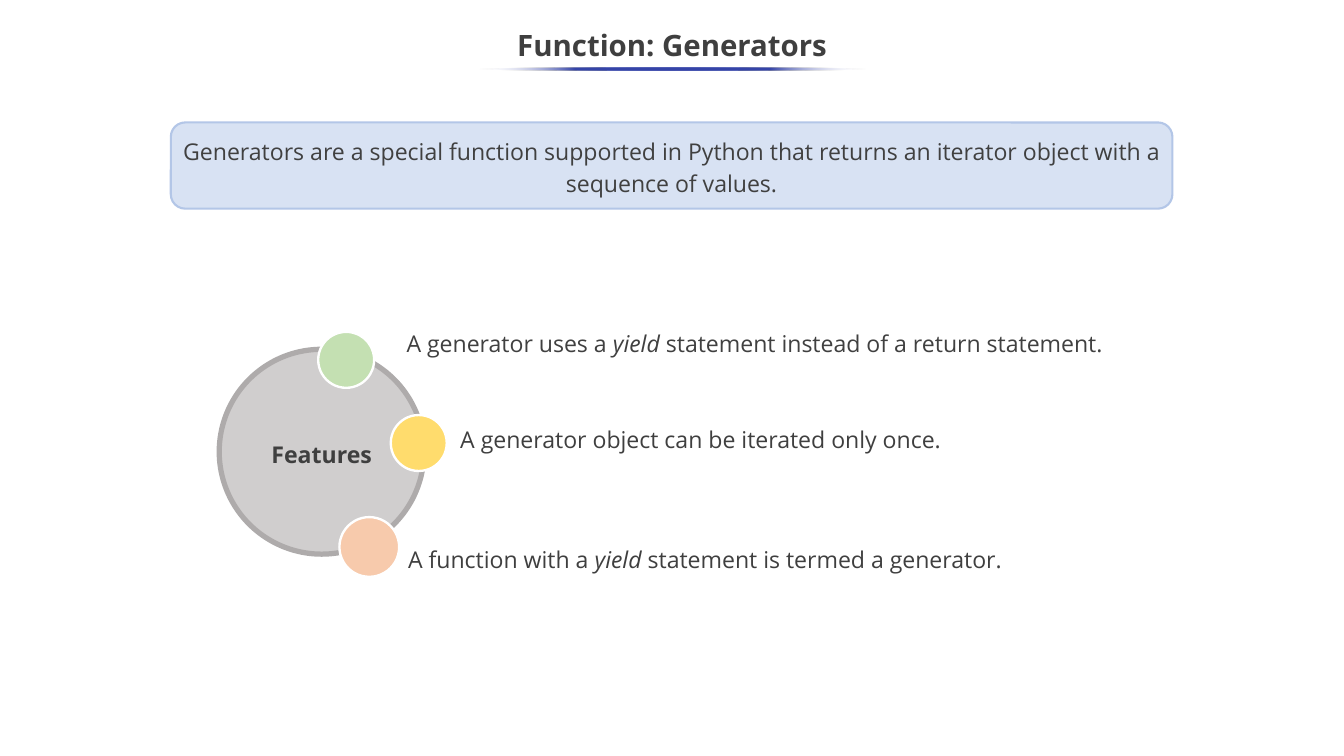
from lxml.etree import SubElement
from pptx import Presentation
from pptx.dml.color import RGBColor
from pptx.enum.shapes import MSO_SHAPE
from pptx.enum.text import MSO_ANCHOR, MSO_AUTO_SIZE, PP_ALIGN
from pptx.oxml.ns import qn
from pptx.util import Inches, Pt


def rgb(value):
    """Turn a hex string into a colour."""
    return RGBColor.from_string(value)


class SlideBuilder:
    """Holds the text style and the current slide, and draws its elements."""

    font = "Open Sans"
    ink = "3F3F3F"
    body_size = 22
    body_spacing = 1.15

    def __init__(self, slide):
        self.slide = slide

    def add_text(self, frame, pieces, size=body_size, bold=False, color=ink,
                 align=PP_ALIGN.CENTER, spacing=body_spacing):
        """Fill a frame with one paragraph of (text, italic) pieces."""
        frame.word_wrap = True
        frame.vertical_anchor = MSO_ANCHOR.MIDDLE
        paragraph = frame.paragraphs[0]
        paragraph.alignment = align
        paragraph.line_spacing = spacing
        for text, italic in pieces:
            run = paragraph.add_run()
            run.text = text
            run.font.name = self.font
            run.font.size = Pt(size)
            run.font.bold = bold
            run.font.italic = italic
            run.font.color.rgb = rgb(color)

    def title(self, text, left, top, width, height):
        """Add the slide title."""
        box = self.slide.shapes.add_textbox(
            Inches(left), Inches(top), Inches(width), Inches(height))
        self.add_text(box.text_frame, [(text, False)], size=28, bold=True, spacing=0.9)

    def shape(self, kind, left, top, width, height, fill, line, line_width):
        """Add a filled and outlined preset shape."""
        shape = self.slide.shapes.add_shape(
            kind, Inches(left), Inches(top), Inches(width), Inches(height))
        shape.shadow.inherit = False
        shape.fill.solid()
        shape.fill.fore_color.rgb = rgb(fill)
        shape.line.color.rgb = rgb(line)
        shape.line.width = Pt(line_width)
        return shape

    def dot(self, left, top, diameter, fill):
        """Add a white-rimmed feature marker."""
        self.shape(MSO_SHAPE.OVAL, left, top, diameter, diameter, fill, "FFFFFF", 2.25)

    def feature(self, pieces, left, top, width, height, color):
        """Add a left-aligned feature sentence."""
        box = self.slide.shapes.add_textbox(
            Inches(left), Inches(top), Inches(width), Inches(height))
        self.add_text(box.text_frame, pieces, color=color, align=PP_ALIGN.LEFT)
        box.text_frame.vertical_anchor = MSO_ANCHOR.TOP
        box.text_frame.auto_size = MSO_AUTO_SIZE.SHAPE_TO_FIT_TEXT

    def underline(self, left, top, width, height, color):
        """Add a thin ellipse that fades out at both ends."""
        rule = self.slide.shapes.add_shape(
            MSO_SHAPE.OVAL, Inches(left), Inches(top), Inches(width), Inches(height))
        rule.shadow.inherit = False
        rule.line.fill.background()
        rule.fill.gradient()
        rule.fill.gradient_angle = 180
        stops = rule.element.spPr.find(qn("a:gradFill")).find(qn("a:gsLst"))
        for stop in list(stops):
            stops.remove(stop)
        for percent in range(0, 101, 25):
            faded = percent in (0, 100)
            stop = SubElement(stops, qn("a:gs"), pos=str(percent * 1000))
            tint = SubElement(stop, qn("a:srgbClr"), val="FFFFFF" if faded else color)
            if faded:
                SubElement(tint, qn("a:alpha"), val="0")


def main():
    """Build the generators slide."""
    deck = Presentation()
    deck.slide_width, deck.slide_height = Inches(17.78), Inches(10)
    page = SlideBuilder(deck.slides.add_slide(deck.slide_layouts[6]))

    definition = page.shape(MSO_SHAPE.ROUNDED_RECTANGLE, 2.26, 1.62, 13.25, 1.14,
                            "D8E2F3", "B3C6E7", 2)
    page.add_text(definition.text_frame, [(
        "Generators are a special function supported in Python that returns "
        "an iterator object with a sequence of values.", False)], color="404040")
    page.title("Function: Generators", -0.01, 0.25, 17.8, 0.75)

    hub = page.shape(MSO_SHAPE.OVAL, 2.9, 4.62, 2.71, 2.71, "D0CECE", "AEABAB", 5)
    page.add_text(hub.text_frame, [("Features", False)], bold=True)

    for dot in [(4.49, 6.84, 0.79, "F7CAAC"),
                (4.21, 4.39, 0.74, "C4E0B2"),
                (5.17, 5.49, 0.74, "FFDC6D")]:
        page.dot(*dot)

    page.feature([("A generator uses a ", False), ("yield", True),
                  (" statement instead of a return statement.", False)],
                 5.28, 4.26, 10.32, 0.53, "404040")
    page.feature([("A generator object can be iterated only once.", False)],
                 5.99, 5.53, 8.89, 0.5, page.ink)
    page.feature([("A function with a ", False), ("yield", True),
                  (" statement is termed a generator.", False)],
                 5.3, 7.11, 8.89, 0.53, page.ink)

    page.underline(6.33, 0.89, 5.13, 0.04, "3645A9")
    deck.save("out.pptx")


if __name__ == "__main__":
    main()
